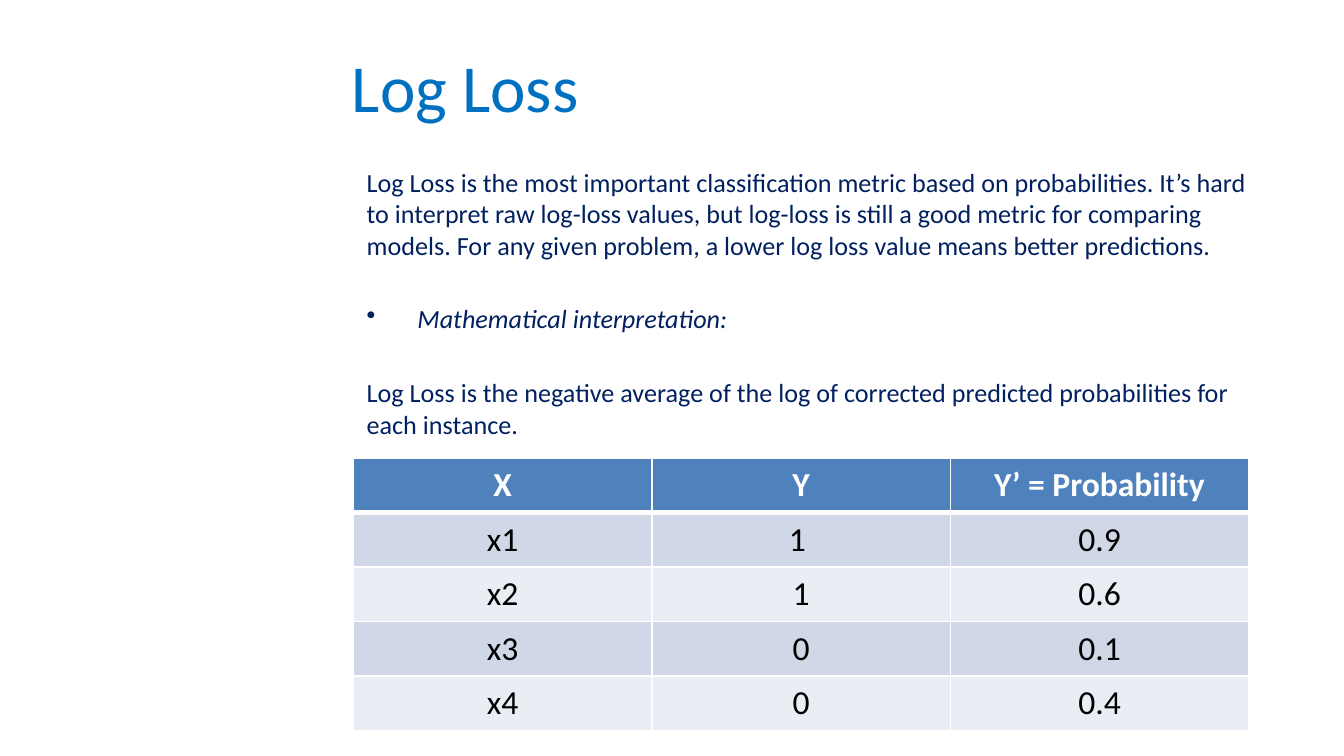
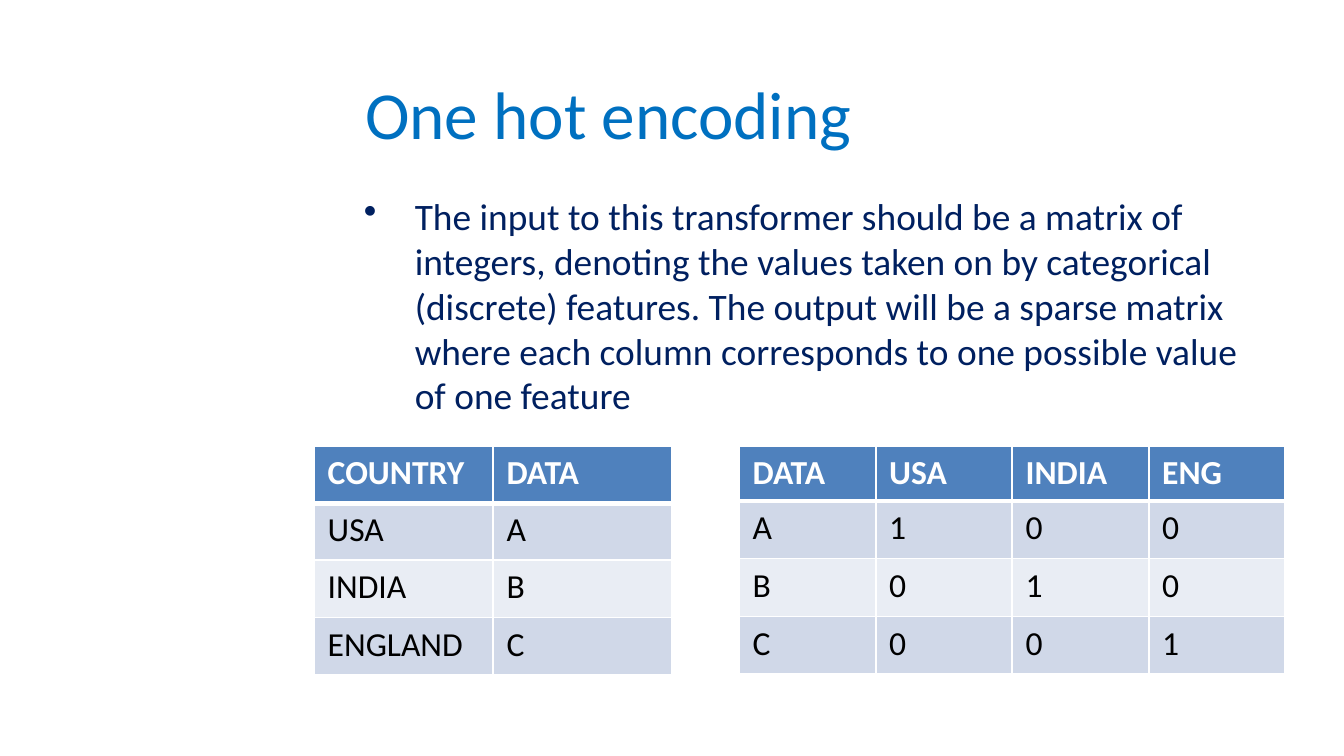
import pptx
import pptx.util
import pptx.dml.color
import pptx.enum.text
import pptx.oxml
import pptx.oxml.ns
from lxml import etree

Cm, Pt = pptx.util.Cm, pptx.util.Pt
ALIGN = pptx.enum.text.PP_ALIGN
ANCHOR = pptx.enum.text.MSO_ANCHOR

FONT = "Calibri"
HUES = {"title": "0070C0", "body": "002060", "head": "4F81BD", "odd": "D0D8E8",
        "even": "E9EDF4", "rule": "FFFFFF", "cell": "000000"}

# Content: places are left, top, width, height in cm
SLIDES = [
    {
        "title": ("Log Loss", (6.4, 0.61, 17.45, 2.01)),
        "place": (6.68, 3.02, 17.53, 10.64),
        "size": 14,
        # text, bullet, italic, space before in points
        "body": [
            ("Log Loss is the most important classification metric based on "
             "probabilities. It’s hard to interpret raw log-loss values, but "
             "log-loss is still a good metric for comparing models. For any given "
             "problem, a lower log loss value means better predictions.",
             False, False, 2.8),
            ("Mathematical interpretation:", True, True, 22.7),
            ("Log Loss is the negative average of the log of corrected predicted "
             "probabilities for each instance.", False, False, 22.7),
        ],
        "tables": [
            {"at": (6.68, 8.66), "col": 5.64, "head": 1.03, "row": 1.03,
             "align": ALIGN.CENTER,
             "rows": [("X", "Y", "Y’ = Probability"),
                      ("x1", "1 ", "0.9"),
                      ("x2", "1", "0.6"),
                      ("x3", "0", "0.1"),
                      ("x4", "0", "0.4")]},
        ],
    },
    {
        "title": ("One hot encoding", (6.65, 1.12, 17.45, 2.01)),
        "place": (6.63, 3.53, 17.53, 9.5),
        "size": 20,
        "body": [
            ("The input to this transformer should be a matrix of integers, "
             "denoting the values taken on by categorical (discrete) features. "
             "The output will be a sparse matrix where each column corresponds "
             "to one possible value of one feature", True, False, 4),
        ],
        "tables": [
            {"at": (5.94, 8.43), "col": 3.38, "head": 1.08, "row": 1.08,
             "align": ALIGN.LEFT,
             "rows": [("COUNTRY", "DATA"),
                      ("USA", "A"),
                      ("INDIA", "B"),
                      ("ENGLAND", "C")]},
            {"at": (13.97, 8.43), "col": 2.58, "head": 1.04, "row": 1.09,
             "align": ALIGN.LEFT,
             "rows": [("DATA", "USA", "INDIA", "ENG"),
                      ("A", "1", "0", "0"),
                      ("B", "0", "1", "0"),
                      ("C", "0", "0", "1")]},
        ],
    },
]


def rgb(name):
    return pptx.dml.color.RGBColor.from_string(HUES[name])


def style(para, size, hue, bold=False, italic=False):
    font = para.font
    font.name, font.size = FONT, Pt(size)
    font.bold, font.italic = bold, italic
    font.color.rgb = rgb(hue)


def add_box(slide, place):
    frame = slide.shapes.add_textbox(*map(Cm, place)).text_frame
    frame.word_wrap = True
    return frame


def add_title(slide, text, place):
    frame = add_box(slide, place)
    frame.vertical_anchor = ANCHOR.MIDDLE
    frame.text = text
    style(frame.paragraphs[0], 36, "title")


def add_bullet(para):
    props = para._p.get_or_add_pPr()
    props.set("marL", str(Cm(0.96)))
    props.set("indent", str(-Cm(0.96)))
    mark = etree.Element(pptx.oxml.ns.qn("a:buChar"), char="•")
    props.insert_element_before(mark, "a:tabLst", "a:defRPr", "a:extLst")


def add_body(slide, place, size, items):
    frame = add_box(slide, place)
    for i, (text, bullet, italic, gap) in enumerate(items):
        para = frame.add_paragraph() if i else frame.paragraphs[0]
        para.text = text
        para.space_before = Pt(gap)
        style(para, size, "body", italic=italic)
        if bullet:
            add_bullet(para)


def add_rules(cell, widths):
    # Borders come before the fill in the cell properties
    props = cell._tc.get_or_add_tcPr()
    for i, (side, width) in enumerate(zip("LRTB", widths)):
        line = pptx.oxml.parse_xml(
            f'<a:ln{side} {pptx.oxml.ns.nsdecls("a")} w="{Pt(width)}"><a:solidFill>'
            f'<a:srgbClr val="{HUES["rule"]}"/></a:solidFill></a:ln{side}>')
        props.insert(i, line)


def add_grid(slide, at, col, head, row, align, rows):
    wide, high = col * len(rows[0]), head + row * (len(rows) - 1)
    grid = slide.shapes.add_table(len(rows), len(rows[0]),
                                  *map(Cm, (*at, wide, high))).table
    for part in grid.columns:
        part.width = Cm(col)
    for r, texts in enumerate(rows):
        grid.rows[r].height = Cm(row if r else head)
        fill = "head" if r == 0 else "odd" if r % 2 else "even"
        for c, text in enumerate(texts):
            cell = grid.cell(r, c)
            cell.text = text
            cell.fill.solid()
            cell.fill.fore_color.rgb = rgb(fill)
            add_rules(cell, (1, 1, 3 if r == 1 else 1, 1 if r else 3))
            para = cell.text_frame.paragraphs[0]
            para.alignment = align
            style(para, 18, "cell" if r else "rule", bold=r == 0)


def main():
    deck = pptx.Presentation()
    deck.slide_width, deck.slide_height = Cm(25.4), Cm(14.29)
    for page in SLIDES:
        slide = deck.slides.add_slide(deck.slide_layouts[6])
        add_title(slide, *page["title"])
        add_body(slide, page["place"], page["size"], page["body"])
        for table in page["tables"]:
            add_grid(slide, **table)
    deck.save("out.pptx")


if __name__ == "__main__":
    main()
